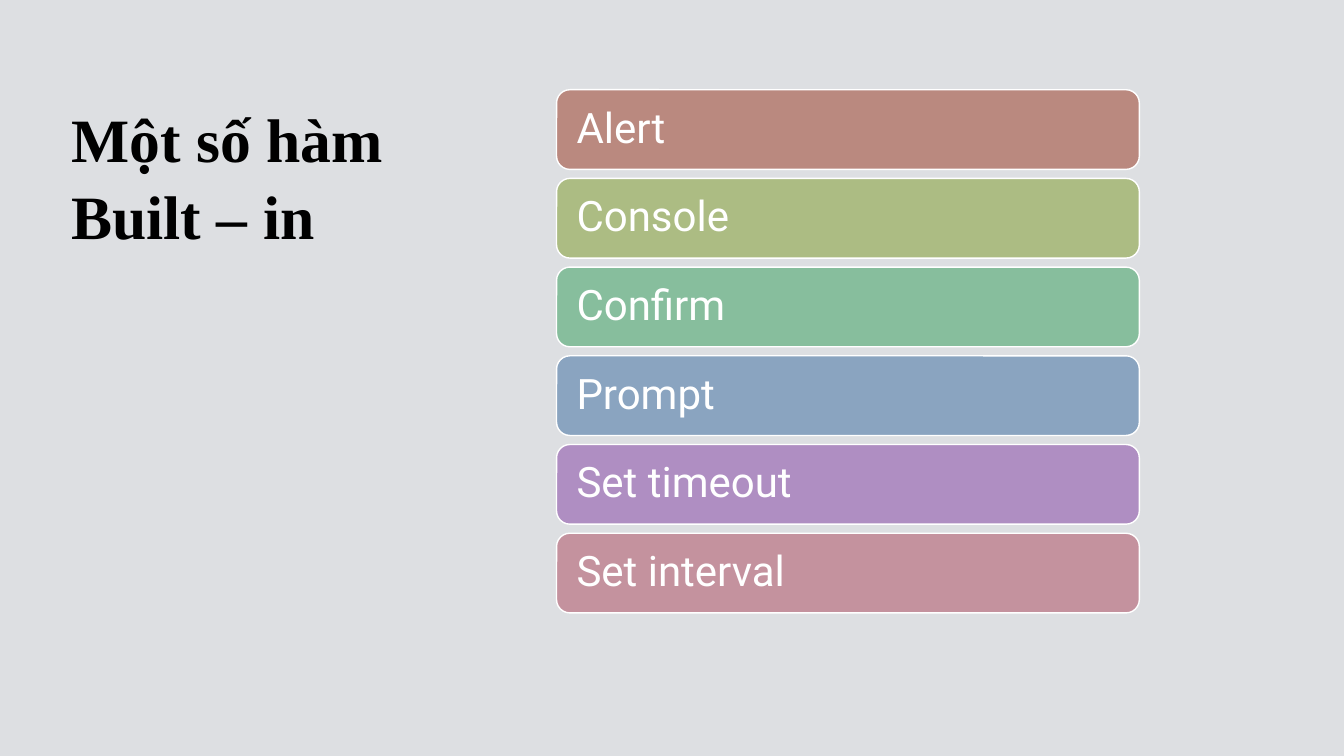
from dataclasses import dataclass

from pptx import Presentation
from pptx.dml.color import RGBColor
from pptx.enum.shapes import MSO_SHAPE
from pptx.enum.text import MSO_ANCHOR, MSO_AUTO_SIZE, PP_ALIGN
from pptx.util import Inches, Pt

TITLE = "Một số hàm Built – in"
FUNCTIONS = [
    ("Alert", "BA897F"),
    ("Console", "ACBC83"),
    ("Confirm", "87BE9D"),
    ("Prompt", "8AA4C0"),
    ("Set timeout", "AF8EC2"),
    ("Set interval", "C4929E"),
]


@dataclass(frozen=True)
class Theme:
    background: str = "DDDFE2"
    heading: str = "000000"
    light: str = "FFFFFF"
    heading_font: str = "Times New Roman"
    body_font: str = "Roboto"
    heading_size: int = 44
    body_size: int = 30


THEME = Theme()
SLIDE_WIDTH, SLIDE_HEIGHT = 13.33, 7.5
TOP = 0.89
TITLE_LEFT, TITLE_WIDTH, TITLE_HEIGHT = 0.61, 4.05, 5.92
BAR_LEFT, BAR_WIDTH, BAR_HEIGHT = 5.52, 5.78, 0.79
BAR_PITCH = 0.88
BAR_INSET = 0.16


def style(paragraph, font_name, size, color, bold=False):
    paragraph.alignment = PP_ALIGN.LEFT
    font = paragraph.font
    font.name, font.size, font.bold = font_name, Pt(size), bold
    font.color.rgb = RGBColor.from_string(color)


def add_title(slide):
    title = slide.shapes.title
    title.left, title.top = Inches(TITLE_LEFT), Inches(TOP)
    title.width, title.height = Inches(TITLE_WIDTH), Inches(TITLE_HEIGHT)
    frame = title.text_frame
    frame.text = TITLE
    frame.word_wrap = True
    frame.auto_size = MSO_AUTO_SIZE.NONE
    frame.vertical_anchor = MSO_ANCHOR.TOP
    frame.margin_top = Inches(0.08)
    heading = frame.paragraphs[0]
    heading.line_spacing = 1.04
    style(heading, THEME.heading_font, THEME.heading_size, THEME.heading, bold=True)


def add_function_bar(slide, row, label, color):
    bar = slide.shapes.add_shape(
        MSO_SHAPE.ROUNDED_RECTANGLE,
        Inches(BAR_LEFT), Inches(TOP + row * BAR_PITCH),
        Inches(BAR_WIDTH), Inches(BAR_HEIGHT),
    )
    bar.shadow.inherit = False
    bar.fill.solid()
    bar.fill.fore_color.rgb = RGBColor.from_string(color)
    bar.line.color.rgb = RGBColor.from_string(THEME.light)
    bar.line.width = Pt(1)
    frame = bar.text_frame
    frame.text = label
    frame.word_wrap = True
    frame.vertical_anchor = MSO_ANCHOR.MIDDLE
    frame.margin_left = frame.margin_right = Inches(BAR_INSET)
    frame.paragraphs[0].line_spacing = 0.9
    style(frame.paragraphs[0], THEME.body_font, THEME.body_size, THEME.light)


def main():
    deck = Presentation()
    deck.slide_width, deck.slide_height = Inches(SLIDE_WIDTH), Inches(SLIDE_HEIGHT)
    slide = deck.slides.add_slide(deck.slide_layouts.get_by_name("Title Only"))
    slide.background.fill.solid()
    slide.background.fill.fore_color.rgb = RGBColor.from_string(THEME.background)
    add_title(slide)
    for row, (label, color) in enumerate(FUNCTIONS):
        add_function_bar(slide, row, label, color)
    deck.save("out.pptx")


if __name__ == "__main__":
    main()
